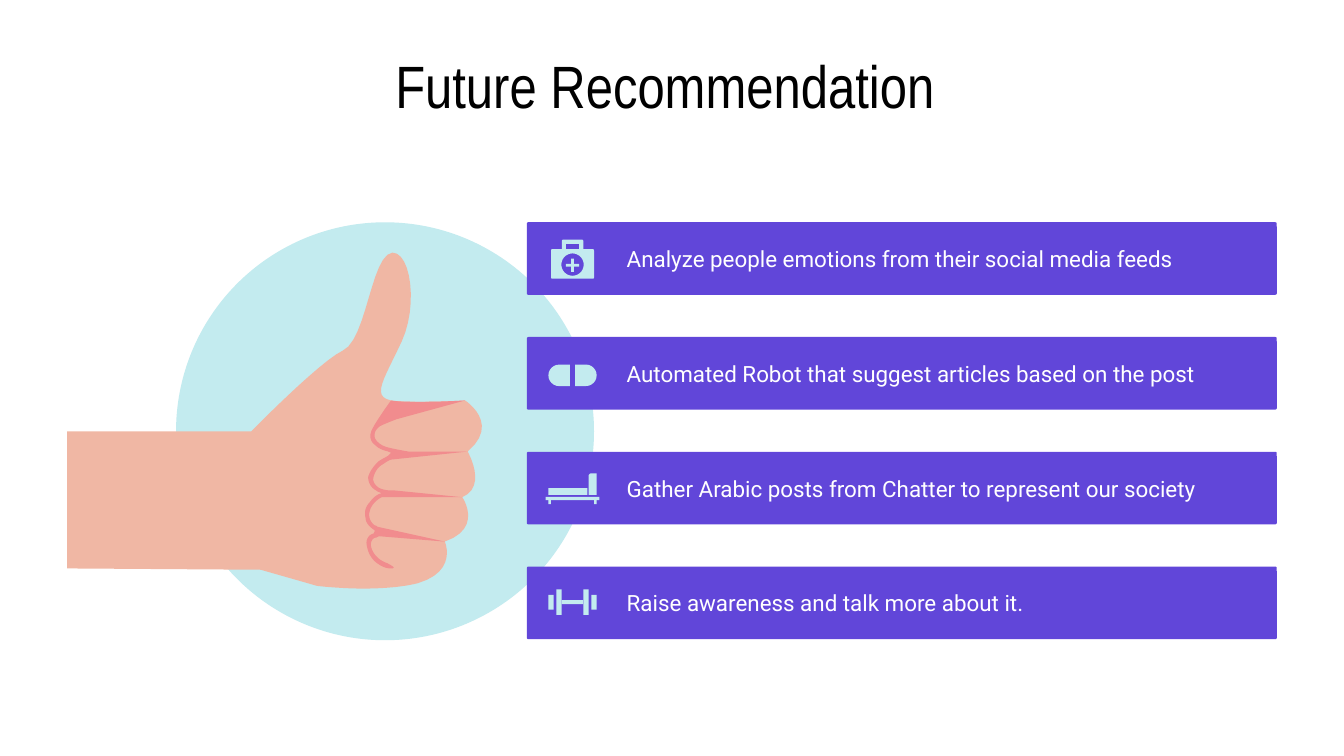
import math

import pptx
import pptx.dml.color
import pptx.enum.shapes
import pptx.enum.text
import pptx.util

# The 16:9 slide is a grid 1000 columns wide; all lengths are in cells.
COLS = 1000
ROWS = COLS * 9 / 16
CELL = pptx.util.Inches(10) / COLS

COLORS = {"title": "000000", "text": "FFFFFF", "bar": "6146D9",
          "pale": "C3EBEF", "skin": "F0B7A4", "crease": "F18C8E"}
SHAPE = pptx.enum.shapes.MSO_SHAPE
ALIGN = pptx.enum.text.PP_ALIGN

FIRST_TOP, LAST_TOP = 165.4, 421.6
BAR_LEFT, BAR_WIDTH, BAR_HEIGHT = 392, 558, 54
ITEMS = [
    "Analyze people emotions from their social media feeds",
    "Automated Robot that suggest articles based on the post",
    "Gather Arabic posts from Chatter to represent our society",
    "Raise awareness and talk more about it.",
]

# Outlines: a pair is a corner, six numbers are a Bézier curve.
HAND = [
    (292, 188), (276, 190, 273, 253, 255, 261), (238, 269, 187, 321, 187, 321),
    (50, 321), (50, 423), (194, 424), (236, 436),
    (236, 436, 252, 438, 271, 438), (284, 438, 299, 437, 311, 434),
    (341, 425, 331, 403, 331, 403), (360, 393, 344, 370, 344, 370),
    (363, 362, 348, 336, 348, 336), (373, 315, 346, 298, 346, 298),
    (346, 298, 331, 299, 316, 299), (307, 299, 297, 299, 291, 298),
    (276, 295, 286, 282, 299, 254), (311, 228, 306, 188, 292, 188),
]
CREASES = [
    (291, 298), (291, 298, 277, 317, 276, 322), (275, 325, 276, 329, 279, 331),
    (282, 334, 285, 335, 289, 336), (291, 337), (289, 339),
    (286, 341, 283, 342, 281, 344), (278, 347, 275, 351, 274, 355),
    (274, 359, 276, 363, 280, 365), (281, 366, 282, 366, 284, 367),
    (280, 368, 277, 371, 275, 374), (272, 377, 271, 381, 272, 385),
    (272, 389, 275, 392, 278, 394), (279, 395), (278, 397),
    (274, 398, 272, 402, 273, 406), (274, 412, 277, 417, 282, 420),
    (285, 422, 288, 423, 291, 423), (294, 423, 294, 422, 288, 419),
    (282, 417, 277, 412, 276, 406), (276, 405, 276, 403, 277, 402),
    (277, 401, 279, 400, 280, 400), (282, 399), (331, 403), (281, 392),
    (281, 392, 280, 391, 279, 391), (276, 389, 274, 385, 275, 381),
    (276, 376, 280, 372, 284, 370), (344, 370), (294, 365),
    (290, 365, 286, 365, 282, 363), (279, 361, 277, 358, 278, 355),
    (279, 351, 281, 348, 284, 346), (286, 345, 288, 343, 291, 342),
    (348, 336), (304, 336), (298, 335, 293, 334, 289, 333),
    (285, 332, 281, 330, 279, 326), (278, 322, 280, 319, 283, 317),
    (287, 315, 295, 312, 295, 312), (346, 298),
    (346, 298, 330, 299, 315, 299), (305, 299, 296, 299, 291, 298),
]

# Icon outlines, measured from the top left corner of their bar.
BAG = [(27, 13), (26, 13, 26, 14, 26, 14), (26, 20), (19, 20),
       (18, 20, 18, 21, 18, 22), (18, 41), (18, 41, 18, 42, 19, 42), (49, 42),
       (50, 42, 50, 41, 50, 41), (50, 22), (50, 21, 50, 20, 49, 20), (42, 20),
       (42, 14), (42, 14, 42, 13, 41, 13)]
BAG_HANDLE = [(29, 16), (39, 16), (39, 20), (29, 20)]
BAG_RING = [(34 + 8.3 * math.cos(a * math.pi / 20),
             31.5 + 8.3 * math.sin(a * math.pi / 20)) for a in range(40)]
BAG_CROSS = [(33, 27), (35, 27), (35, 31), (39, 31), (39, 33), (35, 33),
             (35, 37), (33, 37), (33, 33), (29, 33), (29, 31), (33, 31)]
HEADBOARD = [(48, 16), (47, 16, 46, 17, 46, 18), (46, 32), (52, 32), (52, 16)]
BED_BOXES = [(16, 27, 29, 5), (14, 33.5, 40, 2.5), (16, 36, 2, 3), (50, 36, 2, 3)]
DUMBBELL_BOXES = [(26, 25, 16, 3), (22, 17, 4, 19), (16, 21, 4, 11),
                  (42, 17, 4, 19), (48, 21, 4, 11)]


def grid(*cells):
    return [pptx.util.Emu(round(c * CELL)) for c in cells]


def rgb(name):
    return pptx.dml.color.RGBColor.from_string(COLORS[name])


def paint(shape, color):
    shape.shadow.inherit = False
    shape.fill.solid()
    shape.fill.fore_color.rgb = rgb(color)
    shape.line.fill.background()
    return shape


def preset(s, kind, box, color):
    return paint(s.shapes.add_shape(kind, *grid(*box)), color)


def flatten(outline, steps=12):
    """Turn corners and curves into a list of points."""
    points = [outline[0]]
    for seg in outline[1:]:
        if len(seg) == 2:
            points.append(seg)
            continue
        ctrl = [points[-1], seg[:2], seg[2:4], seg[4:]]
        for t in (i / steps for i in range(1, steps + 1)):
            weights = [math.comb(3, k) * (1 - t) ** (3 - k) * t ** k for k in range(4)]
            points.append(tuple(sum(w * c[axis] for w, c in zip(weights, ctrl))
                                for axis in (0, 1)))
    return points


def freeform(s, outlines, color, left=0, top=0):
    """Draw one shape; outlines inside the first one cut holes."""
    fb = None
    for outline in outlines:
        points = [grid(x + left, y + top) for x, y in flatten(outline)]
        if fb is None:
            fb = s.shapes.build_freeform(*points[0], scale=1.0)
        else:
            fb.move_to(*points[0])
        fb.add_line_segments(points[1:], close=True)
    return paint(fb.convert_to_shape(), color)


def write(shape, text, *, size, font, color, align=ALIGN.LEFT):
    tf = shape.text_frame
    tf.word_wrap = True
    tf.auto_size = pptx.enum.text.MSO_AUTO_SIZE.NONE
    tf.vertical_anchor = pptx.enum.text.MSO_ANCHOR.MIDDLE
    tf.margin_left, tf.margin_top, tf.margin_right, tf.margin_bottom = grid(10, 10, 10, 10)
    p = tf.paragraphs[0]
    p.alignment = align
    r = p.add_run()
    r.text = text
    r.font.size = pptx.util.Pt(size)
    r.font.name = font
    r.font.color.rgb = rgb(color)


def add_title(s, text):
    title = s.shapes.title
    title.left, title.top, title.width, title.height = grid(50, 45, 900, 36)
    write(title, text, size=32, font="Arial Narrow", color="title", align=ALIGN.CENTER)


def add_thumb(s):
    preset(s, SHAPE.OVAL, (131, FIRST_TOP, 311, 311), "pale")
    freeform(s, [HAND], "skin")
    freeform(s, [CREASES], "crease")


def add_bar(s, text, top):
    bar = preset(s, SHAPE.ROUNDED_RECTANGLE, (BAR_LEFT, top, BAR_WIDTH, BAR_HEIGHT), "bar")
    bar.adjustments[0] = 0.02
    box = s.shapes.add_textbox(*grid(456.5, top + 6.5, 474, 41))
    write(box, text, size=12, font="Roboto", color="text")


def add_boxes(s, boxes, top):
    for x, y, w, h in boxes:
        preset(s, SHAPE.RECTANGLE, (BAR_LEFT + x, top + y, w, h), "pale")


def add_bag(s, top):
    freeform(s, [BAG, BAG_HANDLE, BAG_RING, BAG_CROSS], "pale", BAR_LEFT, top)


def add_pill(s, top):
    for x, turn in ((16, 180), (36, 0)):
        half = preset(s, SHAPE.FLOWCHART_DELAY, (BAR_LEFT + x, top + 20.5, 16, 16), "pale")
        half.rotation = turn


def add_bed(s, top):
    add_boxes(s, BED_BOXES, top)
    freeform(s, [HEADBOARD], "pale", BAR_LEFT, top)


def add_dumbbell(s, top):
    add_boxes(s, DUMBBELL_BOXES, top)


def main():
    prs = pptx.Presentation()
    prs.slide_width, prs.slide_height = grid(COLS, ROWS)
    s = prs.slides.add_slide(prs.slide_layouts[5])
    add_title(s, "Future Recommendation ")
    add_thumb(s)

    # One bar with its icon per recommendation
    pitch = (LAST_TOP - FIRST_TOP) / (len(ITEMS) - 1)
    icons = [add_bag, add_pill, add_bed, add_dumbbell]
    for i, (text, add_icon) in enumerate(zip(ITEMS, icons)):
        top = FIRST_TOP + i * pitch
        add_bar(s, text, top)
        add_icon(s, top)
    prs.save("out.pptx")


if __name__ == "__main__":
    main()
